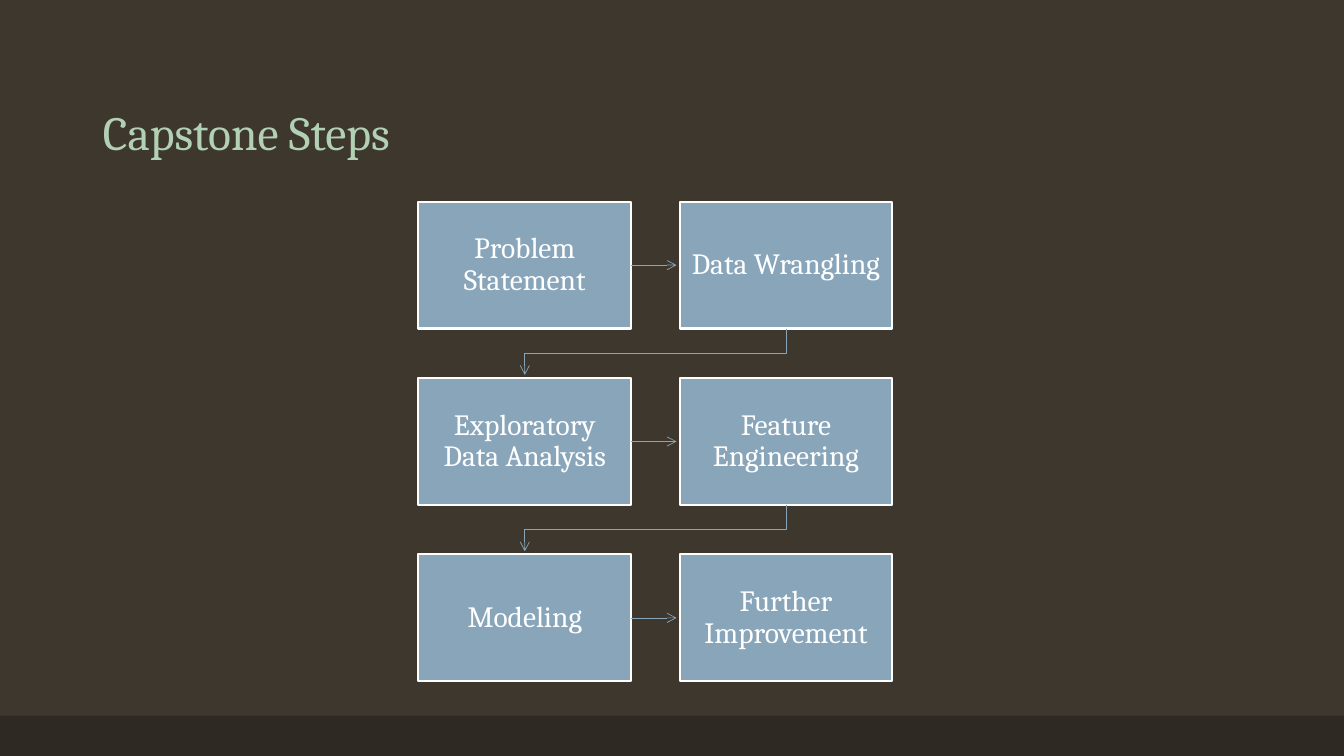
from lxml import etree
from pptx import Presentation
from pptx.dml.color import RGBColor
from pptx.enum.shapes import MSO_CONNECTOR, MSO_SHAPE
from pptx.enum.text import MSO_ANCHOR, PP_ALIGN
from pptx.oxml.ns import qn
from pptx.util import Pt

RECT = MSO_SHAPE.RECTANGLE
STRAIGHT = MSO_CONNECTOR.STRAIGHT
MIDDLE, BOTTOM = MSO_ANCHOR.MIDDLE, MSO_ANCHOR.BOTTOM
LEFT, CENTER = PP_ALIGN.LEFT, PP_ALIGN.CENTER
RIGHT_SIDE = 3

FONT = "Cambria"
BACKGROUND, BAND, TITLE = "3D372E", "2E2923", "B2D0B4"
BLUE, WHITE = "88A5BA", "FFFFFF"
STEPS = ["Problem Statement", "Data Wrangling",
         "Exploratory Data Analysis", "Feature Engineering",
         "Modeling", "Further Improvement"]
COLUMNS = 2
STEP_W, STEP_H = 211, 126
ARROW_GAP = 3


def px(n):
    return round(n * 9144)


def rgb(color):
    return RGBColor.from_string(color)


def format_text(tf, size, color, align, anchor):
    tf.word_wrap = True
    tf.vertical_anchor = anchor
    for p in tf.paragraphs:
        p.alignment = align
        p.line_spacing = 0.9
        for r in p.runs:
            r.font.name = FONT
            r.font.size = Pt(size)
            r.font.color.rgb = rgb(color)


def add_rect(s, x, y, w, h, color):
    sp = s.shapes.add_shape(RECT, px(x), px(y), px(w), px(h))
    sp.shadow.inherit = False
    sp.fill.solid()
    sp.fill.fore_color.rgb = rgb(color)
    sp.line.fill.background()
    return sp


def add_title(s, x, y, w, h):
    title = s.shapes.title
    title.left, title.top, title.width, title.height = map(px, (x, y, w, h))
    title.text_frame.text = "Capstone Steps"
    format_text(title.text_frame, 34, TITLE, LEFT, BOTTOM)


def add_step(s, x, y, text):
    sp = add_rect(s, x, y, STEP_W, STEP_H, BLUE)
    sp.line.color.rgb = rgb(WHITE)
    sp.line.width = Pt(1.5)
    tf = sp.text_frame
    tf.margin_left = tf.margin_right = px(10)
    tf.margin_top = tf.margin_bottom = px(11)
    tf.text = text
    format_text(tf, 21, WHITE, CENTER, MIDDLE)
    return sp


def format_arrow(arrow):
    arrow.line.color.rgb = rgb(BLUE)
    arrow.line.width = Pt(0.5)
    ln = arrow.line._get_or_add_ln()
    etree.SubElement(ln, qn("a:tailEnd"), type="arrow")


def arrow_across(s, start, end):
    y = start.top + start.height // 2
    cxn = s.shapes.add_connector(STRAIGHT, start.left + start.width, y,
                                 end.left - px(ARROW_GAP), y)
    cxn.begin_connect(start, RIGHT_SIDE)
    format_arrow(cxn)
    etree.SubElement(cxn._element.spPr, qn("a:effectLst"))


def arrow_to_next_row(s, start, end):
    x1, y1 = start.left + start.width // 2, start.top + start.height
    x2, y2 = end.left + end.width // 2, end.top - px(ARROW_GAP)
    turn = (y1 + end.top) // 2
    fb = s.shapes.build_freeform(x1, y1)
    fb.add_line_segments([(x1, turn), (x2, turn), (x2, y2)], close=False)
    sp = fb.convert_to_shape()
    sp.fill.background()
    format_arrow(sp)
    sp.shadow.inherit = False


def add_flow(s, x, y, w, h):
    rows = len(STEPS) // COLUMNS
    dx = (w - STEP_W) / (COLUMNS - 1)
    dy = (h - STEP_H) / (rows - 1)
    steps = [add_step(s, x + i % COLUMNS * dx, y + i // COLUMNS * dy, text)
             for i, text in enumerate(STEPS)]
    for i, (start, end) in enumerate(zip(steps, steps[1:]), 1):
        if i % COLUMNS:
            arrow_across(s, start, end)
        else:
            arrow_to_next_row(s, start, end)


def main():
    prs = Presentation()
    prs.slide_width, prs.slide_height = px(1333), px(750)
    s = prs.slides.add_slide(prs.slide_layouts[5])
    s.background.fill.solid()
    s.background.fill.fore_color.rgb = rgb(BACKGROUND)
    add_rect(s, 0, 710, 1333, 40, BAND)
    add_title(s, 92, 40, 1150, 125)
    add_flow(s, 415, 200, 470, 476)
    prs.save("out.pptx")


if __name__ == "__main__":
    main()
